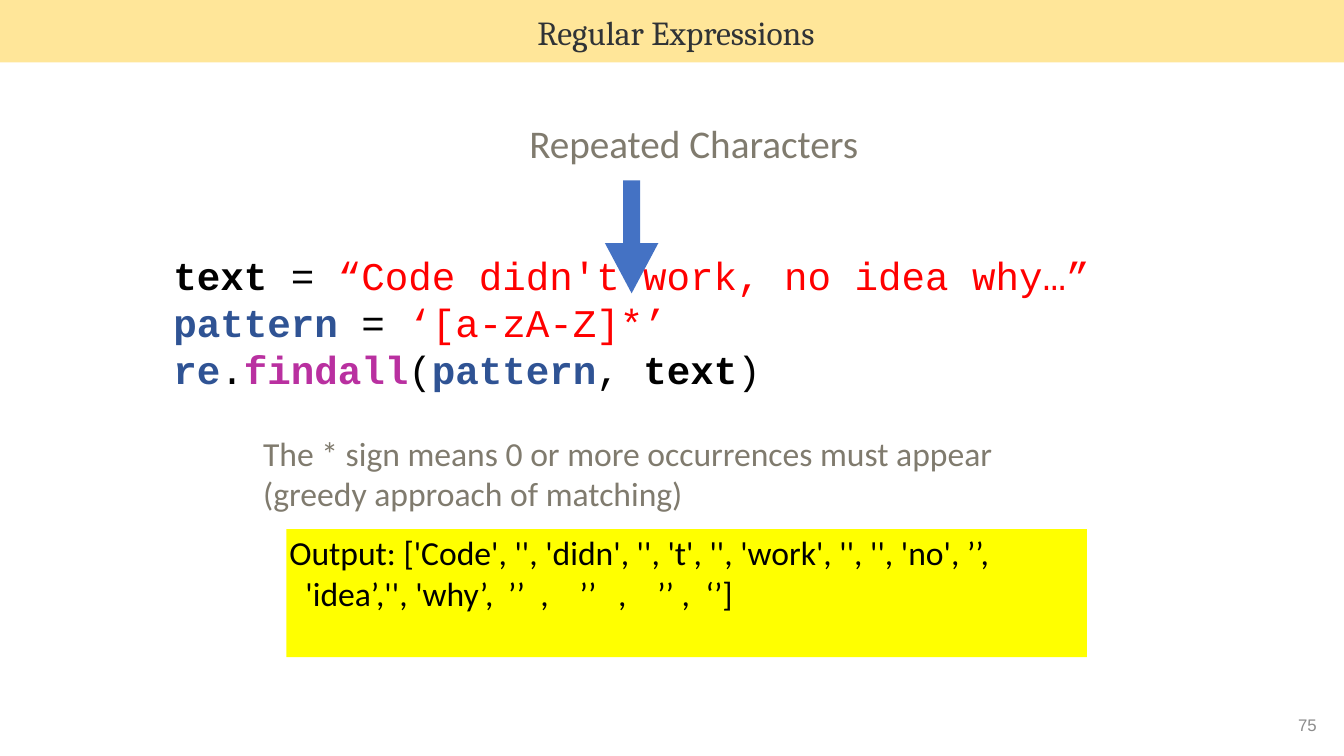
"""Build the slide on repeated characters in regular expressions."""
from lxml.etree import SubElement
from pptx import Presentation
from pptx.dml.color import RGBColor
from pptx.enum.shapes import MSO_SHAPE as Preset
from pptx.enum.text import MSO_ANCHOR as Anchor, PP_ALIGN as Align
from pptx.oxml.ns import qn
from pptx.util import Inches, Pt

THEME = {
    "heading": "Cambria", "body": "Calibri", "code": "Courier New", "number": "Arial",
    "large": 28, "medium": 24, "small": 12,
    "ink": "303336", "muted": "807B6E", "pale": "8C8C8C", "black": "000000",
    "red": "FF0000", "blue": "2F5394", "purple": "B930A0",
    "banner": "FFE699", "output": "FFFF00", "arrow": "4472C4",
}
TITLE = "Regular Expressions"
SUBTITLE = "Repeated Characters"
PAGE_NUMBER = "75"
CODE = [
    [("text", "black", True), (" = ", "black", False),
     ("“Code didn't work, no idea why…”", "red", False)],
    [("pattern", "blue", True), (" = ", "black", False), ("‘[a-zA-Z]*’", "red", False)],
    [("re", "blue", True), (".", "black", False), ("findall", "purple", True),
     ("(", "black", False), ("pattern", "blue", True), (", ", "black", False),
     ("text", "black", True), (")", "black", False)],
]
EXPLANATION = ["The * sign means 0 or more occurrences must appear",
               "(greedy approach of matching)"]
OUTPUT = ["Output: ['Code', '', 'didn', '', 't', '', 'work', '', '', 'no', ’’,",
          "\t'idea’,'', 'why’,\t’’\t,\t’’\t,\t’’ ,\t‘’]"]
OUTPUT_TABS = [0.16, 2.17, 2.49, 2.88, 3.26, 3.65, 4.13]


def color(name):
    return RGBColor.from_string(THEME[name])


def add_block(page, preset, place, fill):
    block = page.shapes.add_shape(preset, *map(Inches, place))
    block.shadow.inherit = False
    block.fill.solid()
    block.fill.fore_color.rgb = color(fill)
    block.line.fill.background()
    return block


def prepare_frame(shape, inset, anchor=Anchor.MIDDLE):
    frame = shape.text_frame
    frame.word_wrap = True
    frame.vertical_anchor = anchor
    frame.margin_left = frame.margin_right = Inches(inset)
    frame.margin_top = frame.margin_bottom = Inches(inset)
    return frame


def add_paragraphs(frame, count):
    return [frame.paragraphs[0]] + [frame.add_paragraph() for _ in range(count - 1)]


def write(frame, lines, font, size, ink, align=Align.LEFT, tabs=()):
    for para, line in zip(add_paragraphs(frame, len(lines)), lines):
        para.text = line
        para.alignment = align
        if tabs:
            stops = SubElement(para._p.get_or_add_pPr(), qn("a:tabLst"))
            for stop in tabs:
                SubElement(stops, qn("a:tab"), pos=str(Inches(stop)), algn="l")
        para.font.name = THEME[font]
        para.font.size = Pt(THEME[size])
        para.font.color.rgb = color(ink)


def add_text(page, place, inset, *style):
    box = page.shapes.add_textbox(*map(Inches, place))
    write(prepare_frame(box, inset), *style)


def add_code(page, place):
    frame = prepare_frame(page.shapes.add_textbox(*map(Inches, place)), 0.03)
    for para, line in zip(add_paragraphs(frame, len(CODE)), CODE):
        para.font.name = THEME["code"]
        para.font.size = Pt(THEME["large"])
        for text, ink, bold in line:
            span = para.add_run()
            span.text = text
            span.font.bold = bold
            span.font.color.rgb = color(ink)


def main():
    deck = Presentation()
    deck.slide_width, deck.slide_height = Inches(13.33), Inches(7.5)
    page = deck.slides.add_slide(deck.slide_layouts[6])

    add_text(page, (12.54, 7.1, 0.55, 0.19), 0.03,
             [PAGE_NUMBER], "number", "small", "pale", Align.RIGHT)
    add_text(page, (1.57, 1.13, 10.62, 0.58), 0.06,
             [SUBTITLE], "body", "large", "muted", Align.CENTER)
    add_code(page, (1.69, 2.46, 10.81, 1.47))

    output = add_block(page, Preset.RECTANGLE, (2.84, 5.25, 7.94, 1.27), "output")
    write(prepare_frame(output, 0.03, Anchor.TOP), OUTPUT,
          "body", "medium", "black", Align.LEFT, OUTPUT_TABS)
    add_text(page, (2.55, 4.23, 8.67, 0.92), 0.06,
             EXPLANATION, "body", "medium", "muted")

    arrow = add_block(page, Preset.DOWN_ARROW, (6, 1.79, 0.53, 1.12), "arrow")
    arrow.adjustments[0], arrow.adjustments[1] = 0.32, 0.94

    add_block(page, Preset.RECTANGLE, (0, 0, 13.33, 0.62), "banner")
    add_text(page, (1.69, 0.07, 10.03, 0.5), 0.05,
             [TITLE], "heading", "medium", "ink", Align.CENTER)
    deck.save("out.pptx")


if __name__ == "__main__":
    main()
